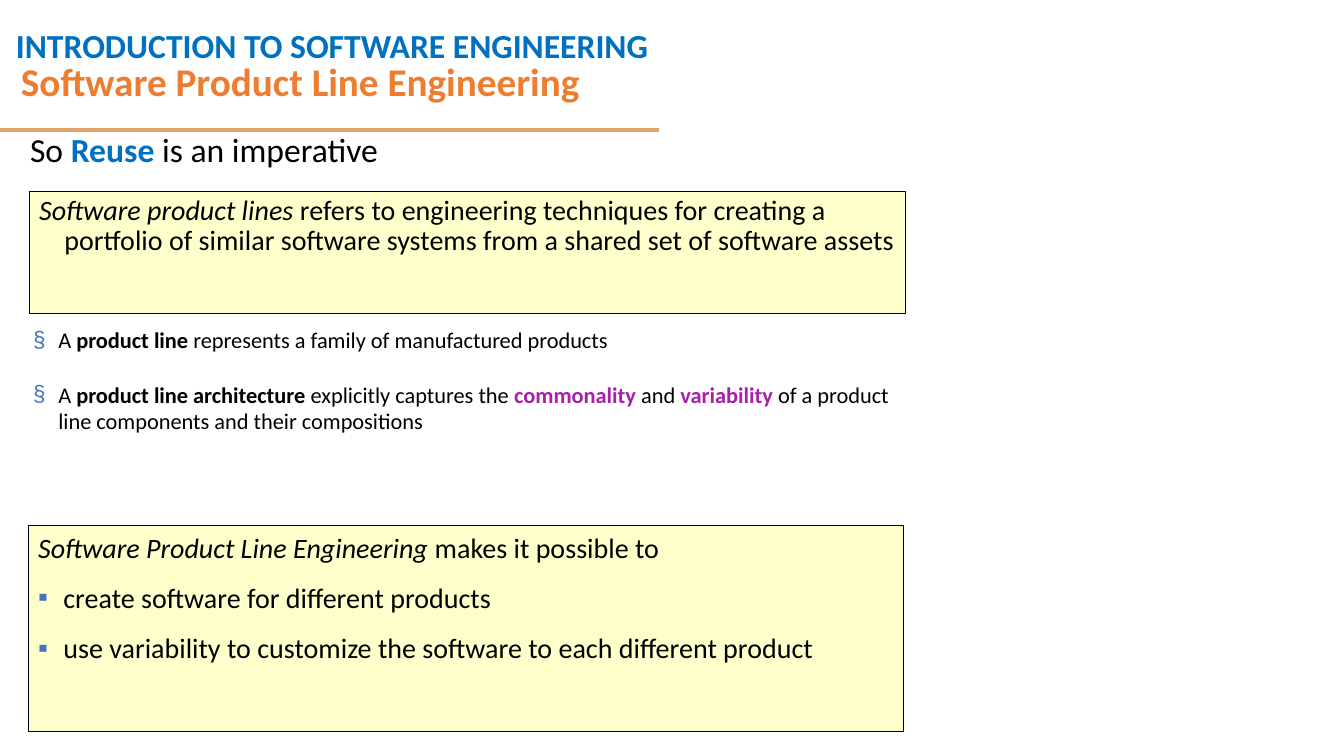
"""Build the slide on software product line engineering."""
from lxml.etree import SubElement
from pptx import Presentation
from pptx.dml.color import RGBColor
from pptx.enum.shapes import MSO_CONNECTOR, MSO_SHAPE
from pptx.enum.text import MSO_ANCHOR, PP_ALIGN
from pptx.oxml.ns import qn
from pptx.util import Inches, Pt

THEME = {
    "font": "Calibri", "mark": "Arial",
    "black": "000000", "blue": "0070C0", "orange": "ED7D31",
    "purple": "A91EAC", "bullet": "4472C4", "rule": "DFA267", "cream": "FFFFCC",
    "title": 28, "head": 24, "lead": 20, "body": 16,
}

STYLES = {
    "plain": {},
    "bold": {"bold": True},
    "slant": {"italic": True},
    "reuse": {"bold": True, "color": "blue"},
    "key": {"bold": True, "color": "purple"},
}

COURSE = [{"runs": [("INTRODUCTION TO SOFTWARE ENGINEERING", "plain")], "line": 1.5}]
TITLE = [{"runs": [("Software Product Line Engineering", "plain")], "line": 0.9}]
REUSE = [{"runs": [("So ", "plain"), ("Reuse ", "reuse"),
                   ("is an imperative", "plain")], "after": 6}]
LINES = [{"runs": [
    ("Software product lines", "slant"),
    (" refers to engineering techniques for creating a portfolio of similar "
     "software systems from a shared set of software assets", "plain"),
], "line": 0.9, "hang": True}]
FAMILY = [
    {"runs": [("A ", "plain"), ("product line", "bold"),
              (" represents a family of manufactured products", "plain")],
     "mark": "§"},
    {"runs": [("A ", "plain"), ("product line architecture", "bold"),
              (" explicitly captures the ", "plain"), ("commonality", "key"),
              (" and ", "plain"), ("variability", "key"),
              (" of a product line components and their compositions", "plain")],
     "mark": "§", "before": 19.5},
]
GOALS = [
    {"runs": [("Software Product Line Engineering", "slant"),
              (" makes it possible to", "plain")], "hang": True},
    {"runs": [("create software for different products", "plain")],
     "mark": "▪", "before": 12},
    {"runs": [("use variability to customize the software to each different product",
               "plain")], "mark": "▪", "before": 12},
]

BLOCKS = [
    {"at": (0.06, 0, 9.87, 0.7), "text": COURSE, "size": "head",
     "color": "blue", "bold": True},
    {"at": (0.11, 0.53, 11.5, 0.61), "text": TITLE, "size": "title",
     "color": "orange", "bold": True, "anchor": MSO_ANCHOR.MIDDLE},
    {"at": (0.29, 1.9, 8.69, 1.21), "text": LINES, "size": "lead", "boxed": True},
    {"at": (0.23, 3.19, 8.72, 2.05), "text": FAMILY, "size": "body"},
    {"at": (0.28, 5.21, 8.68, 2.05), "text": GOALS, "size": "lead", "boxed": True},
    {"at": (0.2, 1.23, 5.13, 0.5), "text": REUSE, "size": "head"},
]
RULE = (0, 1.29, 6.54, 1.29)
INDENT = Inches(0.25)


def tint(name):
    return RGBColor.from_string(THEME[name])


def set_bullet(para, mark):
    props = para._p.get_or_add_pPr()
    color = SubElement(props, qn("a:buClr"))
    SubElement(color, qn("a:srgbClr"), val=THEME["bullet"])
    SubElement(props, qn("a:buFont"), typeface=THEME["mark"])
    SubElement(props, qn("a:buChar"), char=mark)


def write(para, item, block):
    para.alignment = PP_ALIGN.LEFT
    para.line_spacing = item.get("line", 1.0)
    para.space_before = Pt(item.get("before", 0))
    para.space_after = Pt(item.get("after", 0))
    if "mark" in item or "hang" in item:
        props = para._p.get_or_add_pPr()
        props.set("marL", str(INDENT))
        props.set("indent", str(-INDENT))
    if "mark" in item:
        set_bullet(para, item["mark"])
    para.font.name = THEME["font"]
    para.font.size = Pt(THEME[block["size"]])
    para.font.bold = block.get("bold", False)
    para.font.color.rgb = tint(block.get("color", "black"))
    for text, name in item["runs"]:
        run = para.add_run()
        run.text = text
        style = STYLES[name]
        if "bold" in style:
            run.font.bold = True
        if "italic" in style:
            run.font.italic = True
        if "color" in style:
            run.font.color.rgb = tint(style["color"])


def add_block(slide, block):
    place = [Inches(n) for n in block["at"]]
    if block.get("boxed"):
        shape = slide.shapes.add_shape(MSO_SHAPE.RECTANGLE, *place)
        shape.shadow.inherit = False
        shape.fill.solid()
        shape.fill.fore_color.rgb = tint("cream")
        shape.line.color.rgb = tint("black")
        shape.line.width = Pt(0.75)
    else:
        shape = slide.shapes.add_textbox(*place)
    frame = shape.text_frame
    frame.word_wrap = True
    frame.vertical_anchor = block.get("anchor", MSO_ANCHOR.TOP)
    for i, item in enumerate(block["text"]):
        para = frame.add_paragraph() if i else frame.paragraphs[0]
        write(para, item, block)


def add_rule(slide):
    ends = [Inches(n) for n in RULE]
    rule = slide.shapes.add_connector(MSO_CONNECTOR.STRAIGHT, *ends)
    rule.line.color.rgb = tint("rule")
    rule.line.width = Pt(3)
    SubElement(rule._element.spPr, qn("a:effectLst"))


def main():
    deck = Presentation()
    deck.slide_width, deck.slide_height = Inches(13.33), Inches(7.5)
    slide = deck.slides.add_slide(deck.slide_layouts[6])
    add_rule(slide)
    for block in BLOCKS:
        add_block(slide, block)
    deck.save("out.pptx")


if __name__ == "__main__":
    main()
